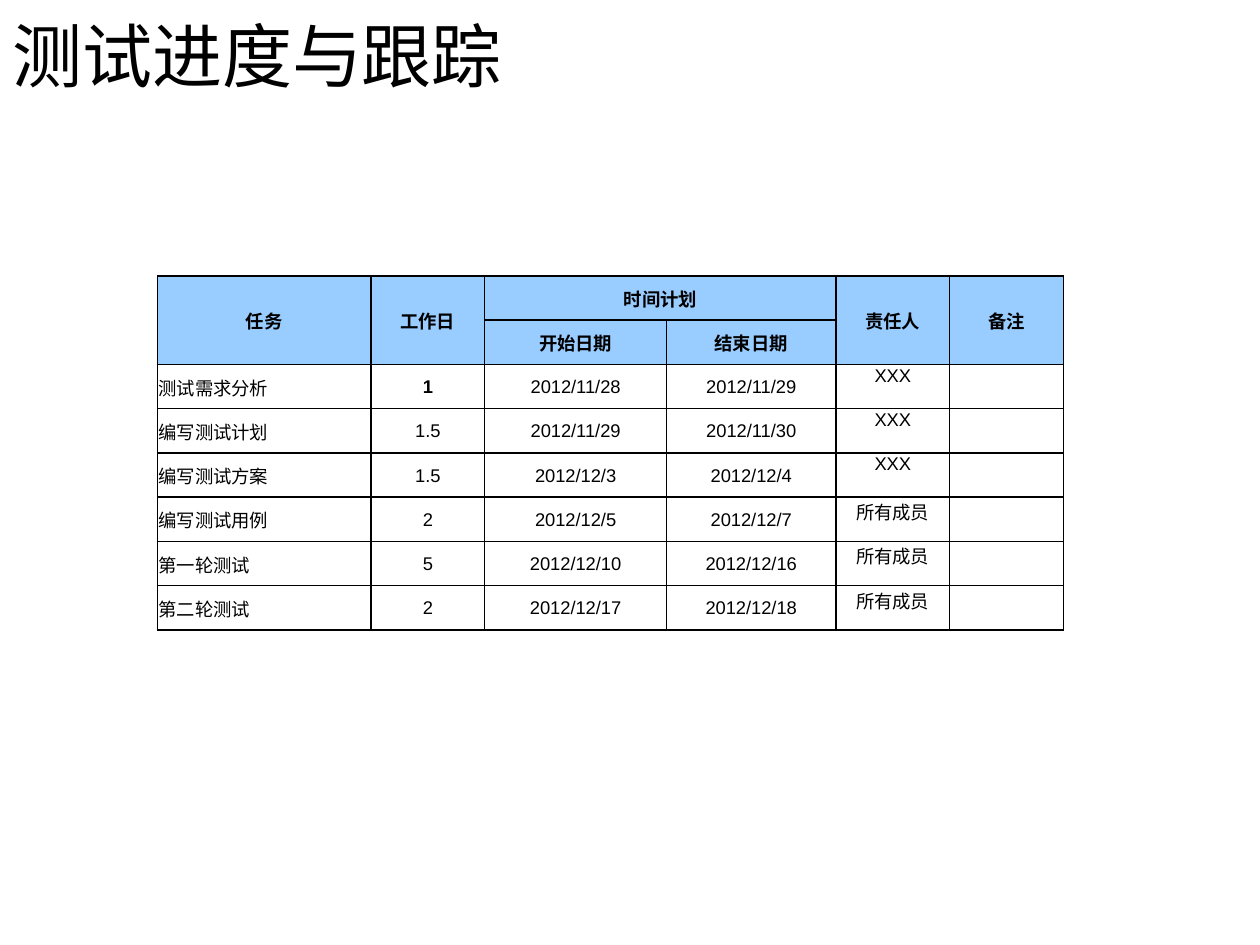
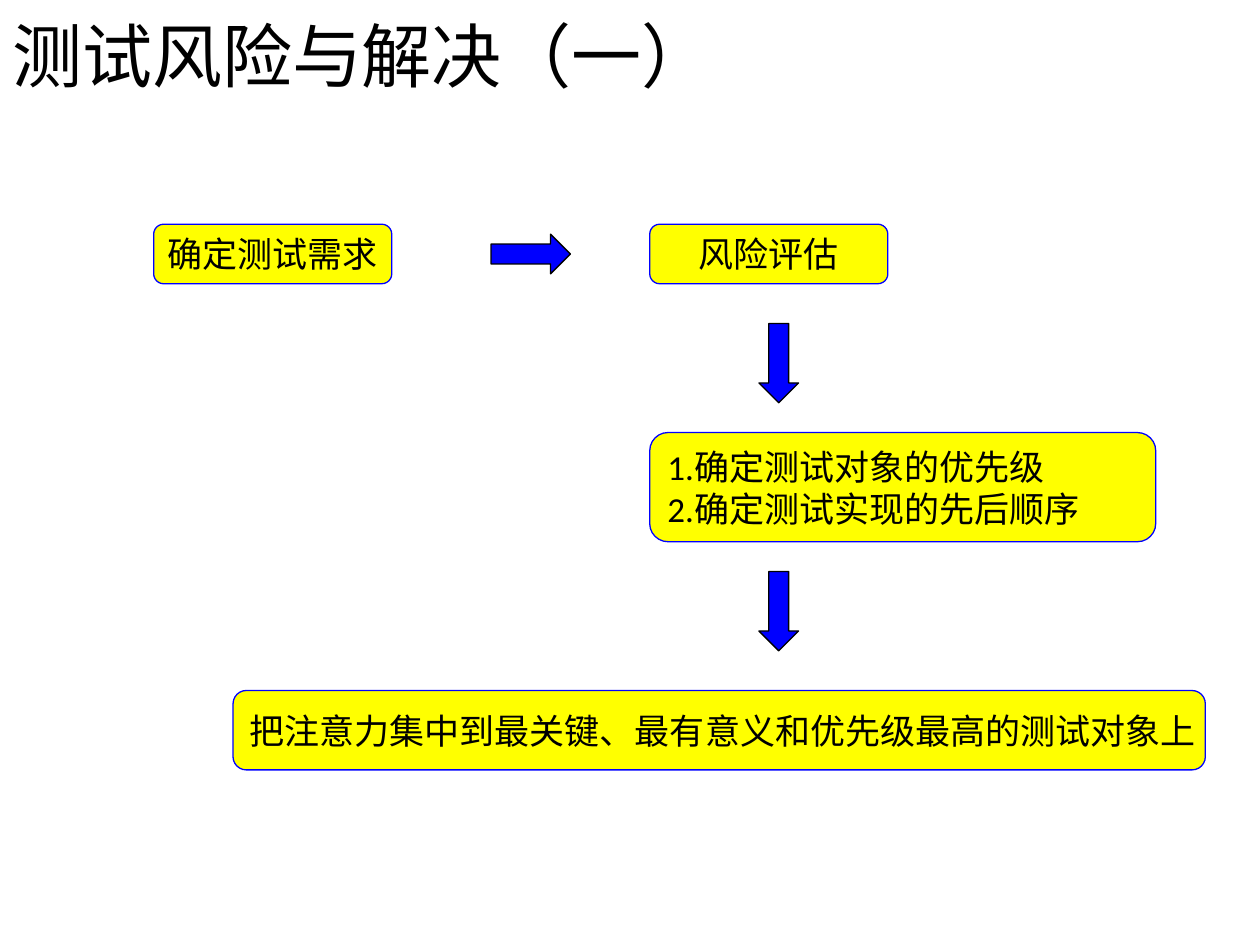
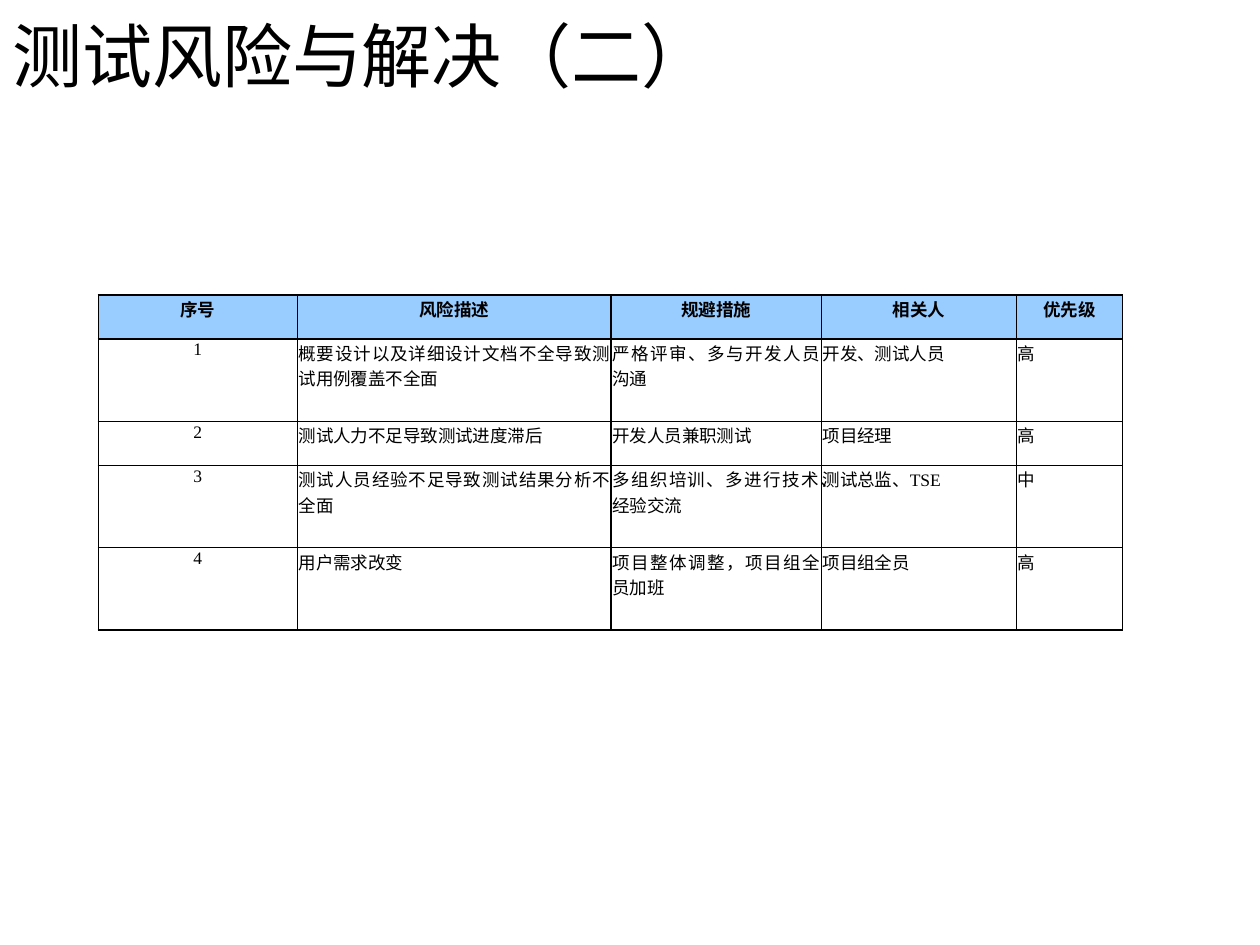
from dataclasses import dataclass

from lxml.etree import SubElement
from pptx import Presentation
from pptx.dml.color import RGBColor
from pptx.enum.shapes import MSO_SHAPE
from pptx.enum.text import MSO_ANCHOR, PP_ALIGN
from pptx.oxml import parse_xml
from pptx.oxml.ns import nsdecls, qn
from pptx.util import Cm, Inches, Pt


@dataclass(frozen=True)
class Theme:
    ink: str = "000000"
    header: str = "99CCFF"
    step: str = "FFFF00"
    accent: str = "0000FF"
    body_font: str = "Calibri"
    chinese_font: str = "Noto Sans CJK SC"
    title_size: float = 40
    step_size: float = 20
    outline: float = 0.75
    border: float = 1


THEME = Theme()
LEFT, CENTER, JUSTIFY = PP_ALIGN.LEFT, PP_ALIGN.CENTER, PP_ALIGN.JUSTIFY
TOP, MIDDLE = MSO_ANCHOR.TOP, MSO_ANCHOR.MIDDLE

# ---- Content ----
SCHEDULE = dict(
    title="测试进度与跟踪",
    area=(1.25, 2.19, 7.19, 2.81),
    columns=(1.69, 0.9, 1.44, 1.34, 0.9, 0.9),
    row_shares=(1,) * 8,
    size=10.5, latin="Arial",
    header_rows=2, header_anchor=MIDDLE,
    aligns=(LEFT,) + (CENTER,) * 5,
    anchors=(MIDDLE,) * 4 + (TOP,) * 2,
    merges=[(0, 0, 1, 0), (0, 1, 1, 1), (0, 2, 0, 3), (0, 4, 1, 4), (0, 5, 1, 5)],
    bold_cells={(2, 1)},
    rows=[
        ("任务", "工作日", "时间计划", "", "责任人", "备注"),
        ("", "", "开始日期", "结束日期", "", ""),
        ("测试需求分析", "1", "2012/11/28", "2012/11/29", "XXX", ""),
        ("编写测试计划", "1.5", "2012/11/29", "2012/11/30", "XXX", ""),
        ("编写测试方案", "1.5", "2012/12/3", "2012/12/4", "XXX", ""),
        ("编写测试用例", "2", "2012/12/5", "2012/12/7", "所有成员", ""),
        ("第一轮测试", "5", "2012/12/10", "2012/12/16", "所有成员", ""),
        ("第二轮测试", "2", "2012/12/17", "2012/12/18", "所有成员", ""),
    ],
)

RISKS = dict(
    title="测试风险与解决（二）",
    area=(0.78, 2.34, 8.13, 2.66),
    columns=(1.58, 2.49, 1.67, 1.55, 0.84),
    row_shares=(0.35, 0.65, 0.35, 0.65, 0.65),
    size=10, latin="Times New Roman",
    header_rows=1, header_anchor=TOP,
    aligns=(CENTER,) + (JUSTIFY,) * 4,
    anchors=(TOP,) * 5,
    merges=[], bold_cells=set(),
    rows=[
        ("序号", "风险描述", "规避措施", "相关人", "优先级"),
        ("1", "概要设计以及详细设计文档不全导致测试用例覆盖不全面",
         "严格评审、多与开发人员沟通", "开发、测试人员", "高"),
        ("2", "测试人力不足导致测试进度滞后", "开发人员兼职测试", "项目经理", "高"),
        ("3", "测试人员经验不足导致测试结果分析不全面",
         "多组织培训、多进行技术、经验交流", "测试总监、TSE", "中"),
        ("4", "用户需求改变", "项目整体调整，项目组全员加班", "项目组全员", "高"),
    ],
)

# The flow sits on a 2 mm grid: column, row, columns wide, rows high
FLOW_TITLE = "测试风险与解决（一）"
FLOW_ORIGIN = Inches(1.22), Inches(1.78)
GRID = Cm(0.2)
STEPS = [
    ((0, 0, 24, 6), CENTER, ["确定测试需求"]),
    ((50, 0, 24, 6), CENTER, ["风险评估"]),
    ((50, 21, 51, 11), LEFT, ["1.确定测试对象的优先级", "2.确定测试实现的先后顺序"]),
    ((8, 47, 98, 8), LEFT, ["把注意力集中到最关键、最有意义和优先级最高的测试对象上"]),
]
ARROWS = [
    ((34, 1, 8, 4), MSO_SHAPE.RIGHT_ARROW),
    ((61, 10, 4, 8), MSO_SHAPE.DOWN_ARROW),
    ((61, 35, 4, 8), MSO_SHAPE.DOWN_ARROW),
]


# ---- Shared helpers ----
def rgb(value):
    return RGBColor.from_string(value)


def style(paragraph, size, latin, align=LEFT, bold=False):
    paragraph.alignment = align
    font = paragraph.font
    font.size, font.name, font.bold = Pt(size), latin, bold
    font.color.rgb = rgb(THEME.ink)
    defaults = paragraph._p.pPr.find(qn("a:defRPr"))
    SubElement(defaults, qn("a:ea")).set("typeface", THEME.chinese_font)


def add_slide(title):
    slide = deck.slides.add_slide(deck.slide_layouts[6])
    frame = slide.shapes.add_textbox(0, Inches(0.07), Inches(9), Inches(0.72)).text_frame
    frame.word_wrap = True
    frame.vertical_anchor = MIDDLE
    frame.text = title
    style(frame.paragraphs[0], THEME.title_size, THEME.body_font)
    return slide


def add_borders(cell):
    properties = cell._tc.get_or_add_tcPr()
    for index, side in enumerate("LRTB"):
        properties.insert(index, parse_xml(
            f'<a:ln{side} {nsdecls("a")} w="{Pt(THEME.border)}"><a:solidFill>'
            f'<a:srgbClr val="{THEME.ink}"/></a:solidFill></a:ln{side}>'))


def share_out(parts, shares, total):
    for part, share in zip(parts, shares):
        yield part, int(total * share / sum(shares))


def add_table_slide(plan):
    slide = add_slide(plan["title"])
    area = [Inches(length) for length in plan["area"]]
    rows = plan["rows"]
    table = slide.shapes.add_table(len(rows), len(rows[0]), *area).table
    table.first_row = table.horz_banding = False
    for column, width in share_out(table.columns, plan["columns"], area[2]):
        column.width = width
    for row, height in share_out(table.rows, plan["row_shares"], area[3]):
        row.height = height

    for r, row in enumerate(rows):
        is_header = r < plan["header_rows"]
        for c, text in enumerate(row):
            cell = table.cell(r, c)
            cell.text = text
            cell.margin_left = cell.margin_right = cell.margin_top = Inches(0.01)
            cell.margin_bottom = 0
            cell.vertical_anchor = plan["header_anchor"] if is_header else plan["anchors"][c]
            has_latin = any(letter.isascii() for letter in text)
            style(cell.text_frame.paragraphs[0], plan["size"],
                  plan["latin"] if has_latin else THEME.chinese_font,
                  CENTER if is_header else plan["aligns"][c],
                  is_header or (r, c) in plan["bold_cells"])
            if is_header:
                cell.fill.solid()
                cell.fill.fore_color.rgb = rgb(THEME.header)
            else:
                cell.fill.background()
            add_borders(cell)
    for top, left, bottom, right in plan["merges"]:
        table.cell(top, left).merge(table.cell(bottom, right))


def add_flow_shape(slide, kind, place, fill, line):
    column, row, width, height = (cells * GRID for cells in place)
    shape = slide.shapes.add_shape(
        kind, FLOW_ORIGIN[0] + column, FLOW_ORIGIN[1] + row, width, height)
    shape.shadow.inherit = False
    shape.fill.solid()
    shape.fill.fore_color.rgb = rgb(fill)
    shape.line.color.rgb = rgb(line)
    shape.line.width = Pt(THEME.outline)
    return shape


def add_flow_slide():
    slide = add_slide(FLOW_TITLE)
    for place, align, lines in STEPS:
        step = add_flow_shape(slide, MSO_SHAPE.ROUNDED_RECTANGLE, place,
                              THEME.step, THEME.accent)
        frame = step.text_frame
        frame.word_wrap = False
        frame.vertical_anchor = MIDDLE
        frame.text = "\n".join(lines)
        for paragraph in frame.paragraphs:
            style(paragraph, THEME.step_size, THEME.body_font, align)
    for place, kind in ARROWS:
        add_flow_shape(slide, kind, place, THEME.accent, THEME.ink)


# ---- Slides ----
deck = Presentation()
deck.slide_width, deck.slide_height = Inches(10), Inches(7.5)
add_table_slide(SCHEDULE)
add_flow_slide()
add_table_slide(RISKS)
deck.save("out.pptx")
